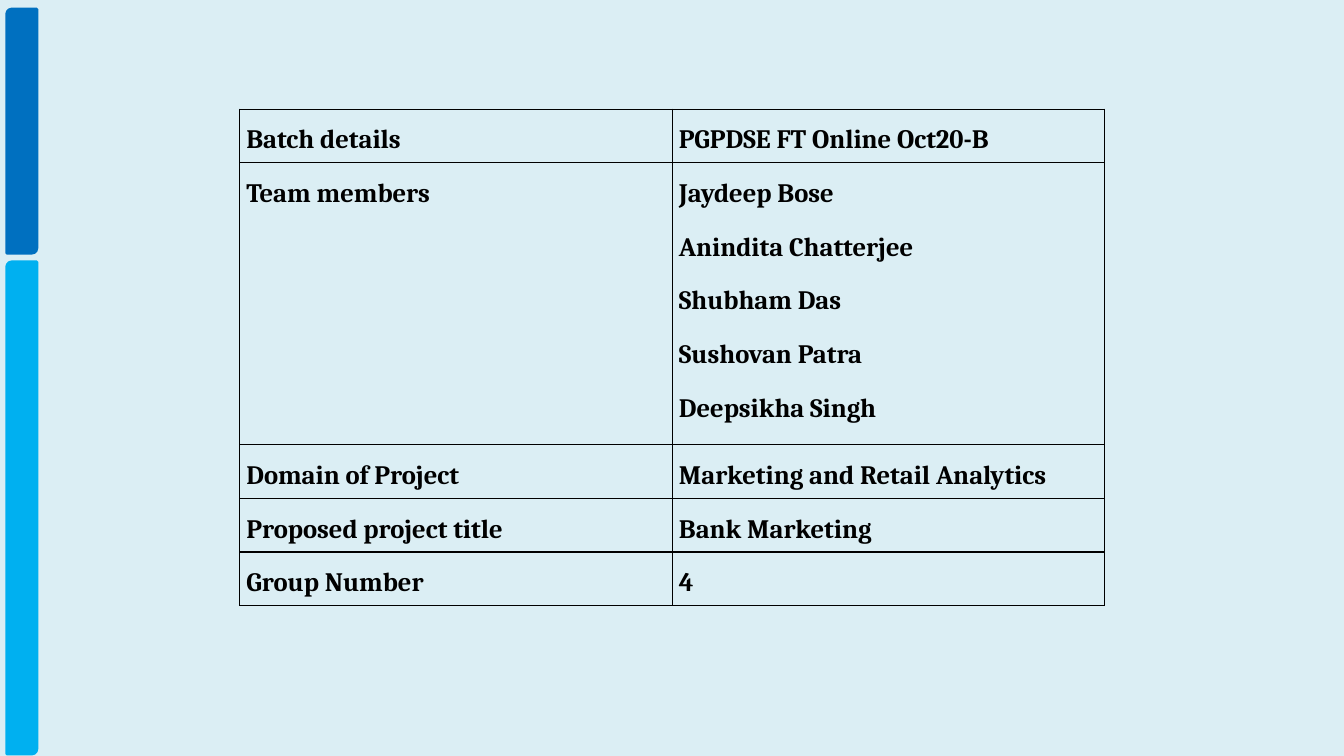
from lxml import etree
from pptx import Presentation
from pptx.dml.color import RGBColor
from pptx.enum.shapes import MSO_SHAPE
from pptx.oxml.ns import qn
from pptx.util import Cm, Pt

BAR = MSO_SHAPE.ROUND_2_DIAG_RECTANGLE
PALE = "DBEEF4"
BLACK = "000000"


def paint(fill, color):
    fill.solid()
    fill.fore_color.rgb = RGBColor.from_string(color)


def border(cell, color, width):
    """Draw a solid line on all four sides of a cell."""
    props = cell._tc.get_or_add_tcPr()
    for side in ("a:lnL", "a:lnR", "a:lnT", "a:lnB"):
        line = etree.SubElement(props, qn(side), w=str(width))
        solid = etree.SubElement(line, qn("a:solidFill"))
        etree.SubElement(solid, qn("a:srgbClr"), val=color)


deck = Presentation()
deck.slide_width, deck.slide_height = Cm(33.87), Cm(19.05)
slide = deck.slides.add_slide(deck.slide_layouts[6])
paint(slide.background.fill, PALE)

# Side bars
for top, height, color in ((0.23, 6.15, "0070C0"), (6.6, 12.4, "00B0F0")):
    bar = slide.shapes.add_shape(BAR, Cm(0.17), Cm(top), Cm(0.76), Cm(height))
    bar.shadow.inherit = False
    paint(bar.fill, color)
    paint(bar.line.fill, color)
    bar.line.width = Pt(2)

# Project table
team = ["Jaydeep Bose", "Anindita Chatterjee", "Shubham Das",
        "Sushovan Patra", "Deepsikha Singh"]
rows = [
    ("Batch details", "PGPDSE FT Online Oct20-B", 1.35),
    ("Team members", "\n".join(team), 7.11),
    ("Domain of Project", "Marketing and Retail Analytics", 1.35),
    ("Proposed project title", "Bank Marketing", 1.35),
    ("Group Number", "4", 1.35),
]
total = sum(height for _, _, height in rows)
frame = slide.shapes.add_table(len(rows), 2, Cm(6.04), Cm(2.75),
                               Cm(21.8), Cm(total))
table = frame.table
table.first_row = table.horz_banding = False

for row, (label, value, height) in zip(table.rows, rows):
    row.height = Cm(height)
    for cell, text in zip(row.cells, (label, value)):
        border(cell, BLACK, Pt(1))
        paint(cell.fill, PALE)
        cell.margin_left = cell.margin_right = Cm(0.17)
        cell.margin_top = cell.margin_bottom = Cm(0.17)
        cell.text_frame.text = text
        for para in cell.text_frame.paragraphs:
            para.line_spacing = 1.3
            para.space_before = Pt(10)
            font = para.runs[0].font
            font.name, font.size, font.bold = "Cambria", Pt(19), True
            paint(font.fill, BLACK)

deck.save("out.pptx")
